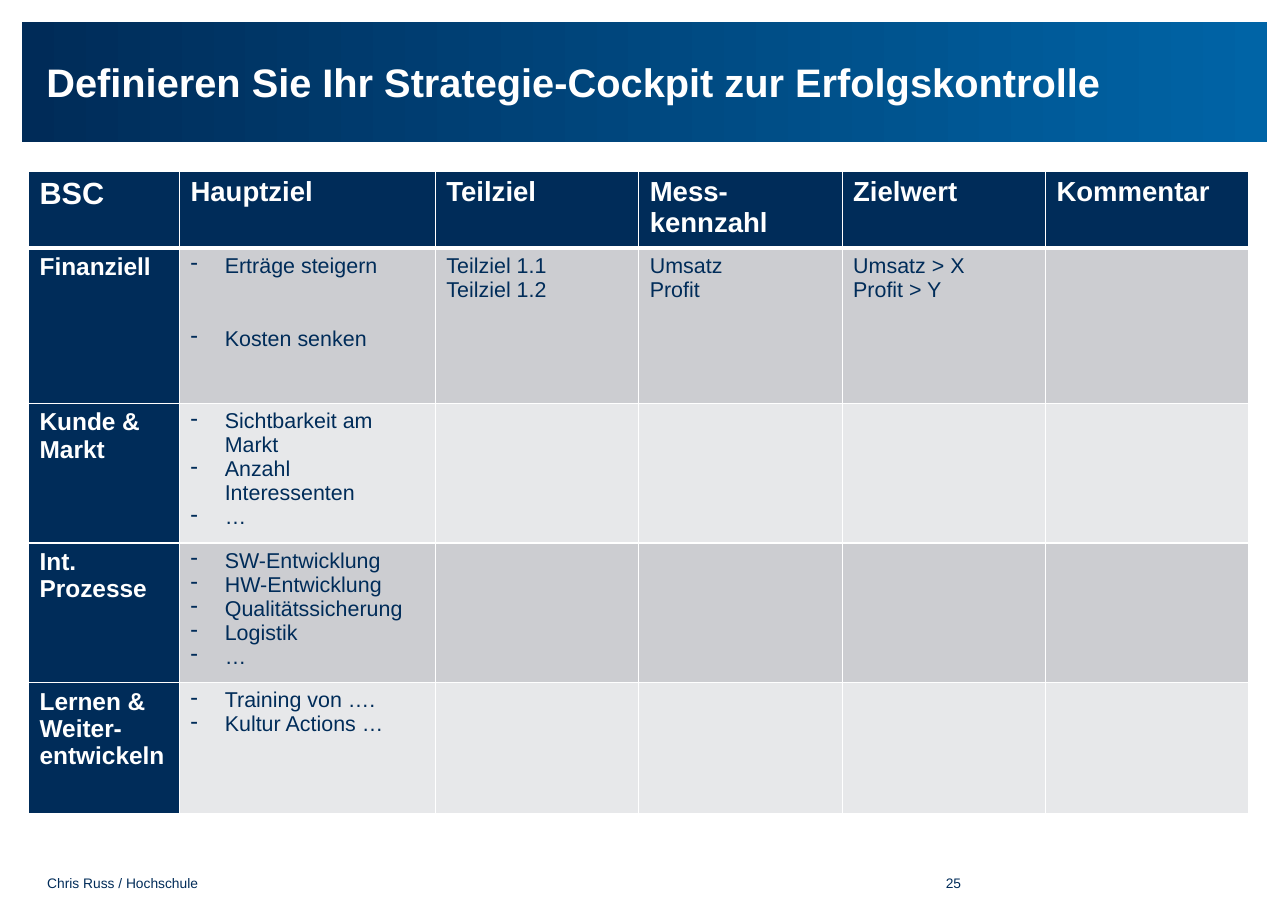
from dataclasses import dataclass

from lxml import etree
from pptx import Presentation, util as u
from pptx.dml.color import RGBColor
from pptx.enum import shapes, text
from pptx.oxml import ns

NAVY = RGBColor(0x00, 0x2C, 0x59)
BAND_START = RGBColor(0x00, 0x2B, 0x58)
BAND_END = RGBColor(0x00, 0x64, 0xA6)
FOOTER = RGBColor(0x01, 0x2C, 0x59)
WHITE = RGBColor(0xFF, 0xFF, 0xFF)
DARK_GREY = RGBColor(0xCC, 0xCD, 0xD1)
LIGHT_GREY = RGBColor(0xE7, 0xE8, 0xEA)
FONT = "Arial"


@dataclass(frozen=True)
class Style:
    size: float
    color: RGBColor
    bold: bool = False


@dataclass(frozen=True)
class Label:
    content: str
    left: float
    top: float
    width: float
    height: float
    style: Style
    align: text.PP_ALIGN = text.PP_ALIGN.LEFT


@dataclass(frozen=True)
class Perspective:
    name: str
    height: float
    goals: tuple[str, ...]
    details: tuple[tuple[str, ...], ...] = ()
    goal_gap: float = 0


CORNER = Style(20, WHITE, True)
HEADING = Style(18, WHITE, True)
PERSPECTIVE = Style(16, WHITE, True)
BODY = Style(14, NAVY)
SMALL = Style(9, FOOTER)

LABELS = (
    Label("Definieren Sie Ihr Strategie-Cockpit zur Erfolgskontrolle",
          1.07, 0.71, 27.58, 2.34, Style(26, WHITE, True)),
    Label("Chris Russ / Hochschule", 1.09, 20.17, 4.2, 0.38, SMALL),
    Label("25 ", 19.94, 20.17, 2.31, 0.38, SMALL, text.PP_ALIGN.RIGHT),
)
HEADINGS = ("BSC", "Hauptziel", "Teilziel", "Mess-kennzahl", "Zielwert", "Kommentar")
COLUMN_WIDTHS = (3.48, 5.9) + (4.69,) * 4
HEADER_HEIGHT = 1.67
PERSPECTIVES = (
    Perspective("Finanziell", 3.58, ("Erträge steigern", "Kosten senken"),
                (("Teilziel 1.1", "Teilziel 1.2"), ("Umsatz", "Profit"),
                 ("Umsatz > X", "Profit > Y")), goal_gap=32),
    Perspective("Kunde & Markt", 3.02,
                ("Sichtbarkeit am Markt", "Anzahl Interessenten", "…")),
    Perspective("Int. Prozesse", 3.02,
                ("SW-Entwicklung", "HW-Entwicklung", "Qualitätssicherung",
                 "Logistik", "…")),
    Perspective("Lernen & Weiter-entwickeln", 3.02,
                ("Training von ….", "Kultur Actions …")),
)


def write_lines(frame, lines: tuple[str, ...], style: Style) -> None:
    for index, line in enumerate(lines):
        paragraph = frame.add_paragraph() if index else frame.paragraphs[0]
        run = paragraph.add_run()
        run.text = line
        run.font.name = FONT
        run.font.size = u.Pt(style.size)
        run.font.bold = style.bold
        run.font.color.rgb = style.color


def add_dashes(frame, gap: float) -> None:
    """Turn the paragraphs into a dashed list, with gap points between items."""
    indent = u.Cm(0.79)
    for index, paragraph in enumerate(frame.paragraphs):
        if index and gap:
            paragraph.space_before = u.Pt(gap)
        properties = paragraph._p.get_or_add_pPr()
        properties.set("marL", str(indent))
        properties.set("indent", str(-indent))
        etree.SubElement(properties, ns.qn("a:buChar"), char="-")


def add_border(cell, side: str, width: float) -> None:
    line = etree.SubElement(cell._tc.get_or_add_tcPr(), ns.qn(f"a:ln{side}"),
                            w=str(u.Pt(width)))
    fill = etree.SubElement(line, ns.qn("a:solidFill"))
    etree.SubElement(fill, ns.qn("a:srgbClr"), val=str(WHITE))


def format_cell(cell, row: int, column: int) -> None:
    for side in "LRTB":
        under_header = (row, side) in ((0, "B"), (1, "T"))
        add_border(cell, side, 3 if under_header else 1)
    cell.fill.solid()
    if row == 0 or column == 0:
        cell.fill.fore_color.rgb = NAVY
    else:
        cell.fill.fore_color.rgb = DARK_GREY if row % 2 else LIGHT_GREY


def add_title_band(slide) -> None:
    band = slide.shapes.add_shape(shapes.MSO_SHAPE.RECTANGLE, u.Cm(0.51), u.Cm(0.51),
                                  u.Cm(28.7), u.Cm(2.77))
    band.shadow.inherit = False
    band.line.fill.background()
    band.fill.gradient()
    band.fill.gradient_angle = 0
    for stop, color, position in zip(band.fill.gradient_stops,
                                     (BAND_START, BAND_END), (0, 1)):
        stop.color.rgb = color
        stop.position = position


def add_label(slide, label: Label) -> None:
    box = slide.shapes.add_textbox(u.Cm(label.left), u.Cm(label.top),
                                   u.Cm(label.width), u.Cm(label.height))
    frame = box.text_frame
    frame.word_wrap = True
    frame.vertical_anchor = text.MSO_ANCHOR.MIDDLE
    frame.margin_left = frame.margin_right = 0
    frame.margin_top = frame.margin_bottom = 0
    write_lines(frame, (label.content,), label.style)
    frame.paragraphs[0].alignment = label.align


def add_scorecard(slide) -> None:
    heights = (HEADER_HEIGHT, *(item.height for item in PERSPECTIVES))
    table = slide.shapes.add_table(
        len(heights), len(COLUMN_WIDTHS), u.Cm(0.66), u.Cm(3.94),
        u.Cm(sum(COLUMN_WIDTHS)), u.Cm(sum(heights))).table
    table.horz_banding = False
    for column, width in zip(table.columns, COLUMN_WIDTHS):
        column.width = u.Cm(width)
    for row_index, height in enumerate(heights):
        table.rows[row_index].height = u.Cm(height)
        for column_index in range(len(COLUMN_WIDTHS)):
            format_cell(table.cell(row_index, column_index), row_index, column_index)

    for column_index, heading in enumerate(HEADINGS):
        write_lines(table.cell(0, column_index).text_frame, (heading,),
                    HEADING if column_index else CORNER)
    for row_index, item in enumerate(PERSPECTIVES, start=1):
        write_lines(table.cell(row_index, 0).text_frame, (item.name,), PERSPECTIVE)
        goals = table.cell(row_index, 1).text_frame
        write_lines(goals, item.goals, BODY)
        add_dashes(goals, item.goal_gap)
        for column_index, lines in enumerate(item.details, start=2):
            write_lines(table.cell(row_index, column_index).text_frame, lines, BODY)


def main() -> None:
    presentation = Presentation()
    presentation.slide_width = u.Cm(29.7)
    presentation.slide_height = u.Cm(21)
    slide = presentation.slides.add_slide(presentation.slide_layouts[6])
    add_title_band(slide)
    for label in LABELS:
        add_label(slide, label)
    add_scorecard(slide)
    presentation.save("out.pptx")


if __name__ == "__main__":
    main()
